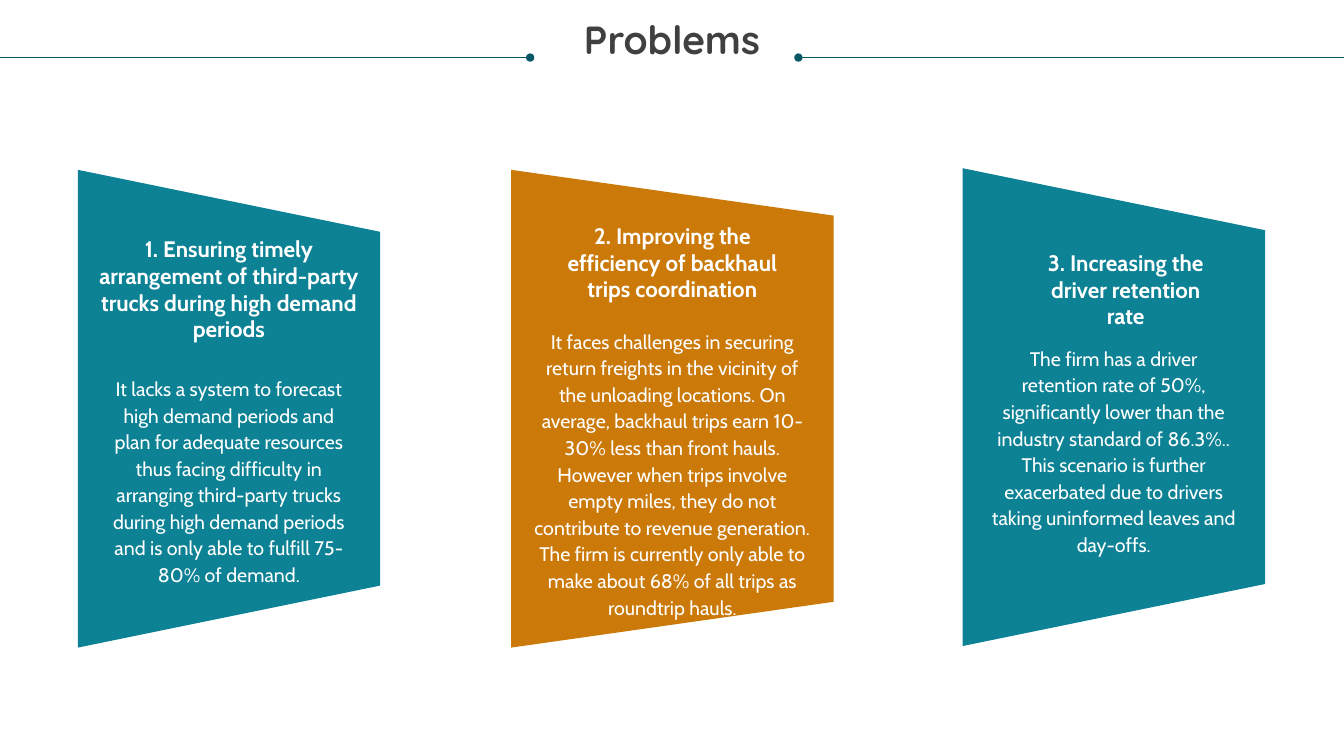
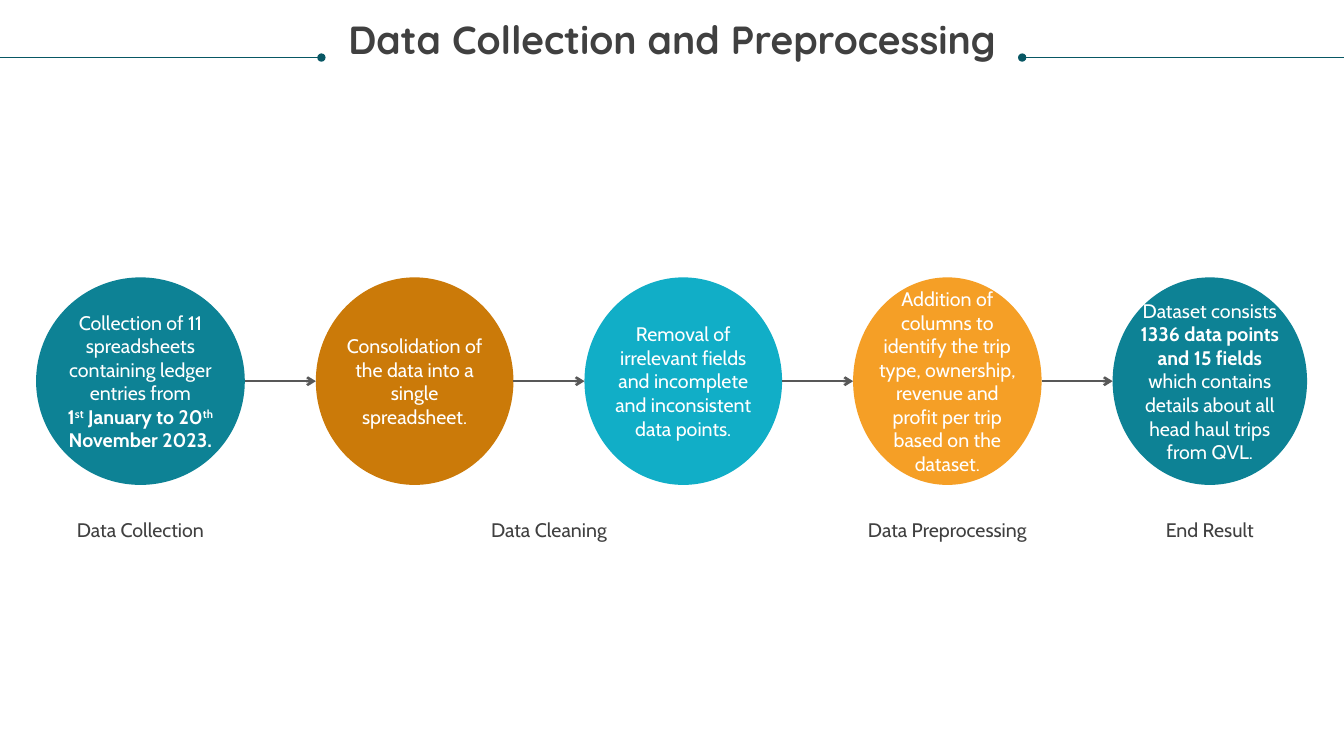
import pptx
import pptx.util
import pptx.dml.color
import pptx.enum.shapes
import pptx.enum.text
import pptx.oxml.ns
from lxml import etree

Cm = pptx.util.Cm
Pt = pptx.util.Pt
KIND = pptx.enum.shapes.MSO_SHAPE
ANCHOR = pptx.enum.text.MSO_ANCHOR
qn = pptx.oxml.ns.qn

WIDE, HIGH = 33.87, 19.05
COLORS = {
    "teal": "0D8295",
    "brown": "CB7A09",
    "cyan": "11AEC7",
    "orange": "F59F26",
    "rule": "085764",
    "arrow": "585858",
    "dark": "404040",
    "white": "FFFFFF",
}
TITLE_FONT, TEXT_FONT = "Quicksand", "Cabin"

PANELS = [
    {
        "box": (1.96, 4.28, 7.62, 12.04), "color": "teal", "slant": 0.205,
        "head": (1.64, 6.71, 0), "body": (5.14, 6.25, 0),
        "title": "1. Ensuring timely arrangement of third-party trucks during "
                 "high demand periods",
        "text": "It lacks a system to forecast high demand periods and plan for "
                "adequate resources thus facing difficulty in arranging "
                "third-party trucks during high demand periods and is only able "
                "to fulfill 75-80% of demand.",
    },
    {
        "box": (12.88, 4.28, 8.13, 12.04), "color": "brown", "slant": 0.142,
        "head": (1.31, 5.36, 0), "body": (3.95, 7.16, 0),
        "title": "2. Improving the efficiency of backhaul trips coordination",
        "text": "It faces challenges in securing return freights in the vicinity "
                "of the unloading locations. On average, backhaul trips earn "
                "10-30% less than front hauls. However when trips involve empty "
                "miles, they do not contribute to revenue generation. The firm "
                "is currently only able to make about 68% of all trips as "
                "roundtrip hauls.",
    },
    {
        "box": (24.26, 4.24, 7.62, 12.04), "color": "teal", "slant": 0.205,
        "head": (2.03, 4.75, 0.3), "body": (4.42, 6.25, 0),
        "title": "3. Increasing the driver retention rate",
        "text": "The firm has a driver retention rate of 50%, significantly lower "
                "than the industry standard of 86.3%.. This scenario is further "
                "exacerbated due to drivers taking uninformed leaves and "
                "day-offs.",
    },
]

STEPS = [
    (5.26, "teal", 4.19, [
        "Collection of 11 spreadsheets",
        "containing ledger entries from",
        [("1", "bold"), ("st", "raised"), (" January to 20", "bold"),
         ("th", "raised"), (" November 2023.", "bold")],
    ]),
    (4.98, "brown", 3.81, ["Consolidation of the data into a single spreadsheet."]),
    (4.98, "cyan", 3.81, ["Removal of irrelevant fields and incomplete and "
                          "inconsistent data points."]),
    (4.75, "orange", 3.81, ["Addition of columns to identify the trip type, "
                            "ownership, revenue and profit per trip based on the "
                            "dataset."]),
    (4.9, "teal", 3.81, [[("Dataset consists ", "plain"),
                          ("1336 data points and 15 fields ", "bold"),
                          ("which contains details about all head haul trips "
                           "from QVL.", "plain")]]),
]
STAGES = [
    ("Data Collection", 0, 0),
    ("Data Cleaning", 1, 2),
    ("Data Preprocessing", 3, 3),
    ("End Result", 4, 4),
]


def tint(name):
    return pptx.dml.color.RGBColor.from_string(COLORS[name])


def style(part, size, color, font=TEXT_FONT, bold=False, space=None):
    part.alignment = pptx.enum.text.PP_ALIGN.CENTER
    if space:
        part.line_spacing = space
    for run in part.runs:
        run.font.name = font
        run.font.size = Pt(size)
        run.font.bold = bold
        run.font.color.rgb = tint(color)


def set_frame(frame, anchor):
    frame.word_wrap = True
    frame.auto_size = pptx.enum.text.MSO_AUTO_SIZE.NONE
    frame.vertical_anchor = anchor
    frame.margin_left = frame.margin_right = 0
    frame.margin_top = frame.margin_bottom = 0


def add_text(slide, box, parts, size, color, anchor=ANCHOR.TOP, **looks):
    frame = slide.shapes.add_textbox(*map(Cm, box)).text_frame
    set_frame(frame, anchor)
    for index, part in enumerate(parts):
        para = frame.add_paragraph() if index else frame.paragraphs[0]
        if isinstance(part, str):
            para.text = part
            style(para, size, color, **looks)
            continue
        for text, _ in part:
            para.add_run().text = text
        style(para, size, color, **looks)
        for run, (_, mode) in zip(para.runs, part):
            run.font.bold = mode != "plain"
            if mode == "raised":
                run._r.get_or_add_rPr().set("baseline", "30000")


def add_shape(slide, kind, box, color):
    shape = slide.shapes.add_shape(kind, *map(Cm, box))
    shape.shadow.inherit = False
    shape.fill.solid()
    shape.fill.fore_color.rgb = tint(color)
    shape.line.fill.background()
    return shape


def add_line(slide, start, end, y, color, width, tip):
    line = slide.shapes.add_connector(
        pptx.enum.shapes.MSO_CONNECTOR.STRAIGHT, Cm(start), Cm(y), Cm(end), Cm(y))
    line.line.color.rgb = tint(color)
    line.line.width = Pt(width)
    props = line.element.spPr
    etree.SubElement(props.find(qn("a:ln")), qn("a:tailEnd"), type=tip)
    etree.SubElement(props, qn("a:effectLst"))


def add_slide(deck, text, left, right):
    slide = deck.slides.add_slide(deck.slide_layouts[5])
    title = slide.shapes.title
    title.left, title.top = Cm(0.64), Cm(0.53)
    title.width, title.height = Cm(32.59), Cm(2.16)
    frame = title.text_frame
    set_frame(frame, ANCHOR.TOP)
    frame.text = text
    style(frame.paragraphs[0], 28, "dark", TITLE_FONT, True, 0.9)
    for edge, stop in ((0, left), (WIDE, right)):
        add_line(slide, edge, stop, 1.45, "rule", 0.5, "oval")
    return slide


def add_panel(slide, panel):
    left, top, width, height = panel["box"]
    turned = (left + (width - height) / 2, top + (height - width) / 2, height, width)
    shape = add_shape(slide, KIND.TRAPEZOID, turned, panel["color"])
    shape.rotation = 90
    shape.adjustments[0] = panel["slant"]

    def place(drop, span, shift, tall):
        return left + (width - span) / 2 + shift, top + drop, span, tall

    add_text(slide, place(*panel["head"], 2.74), [panel["title"]], 16, "white",
             bold=True)
    add_text(slide, place(*panel["body"], 5.36), [panel["text"]], 14, "white",
             space=Pt(19))


def add_flow(slide, left, top, height, gap):
    spans = []
    for index, (width, color, span, parts) in enumerate(STEPS):
        add_shape(slide, KIND.OVAL, (left, top, width, height), color)
        add_text(slide, (left + (width - span) / 2, top, span, height), parts, 14,
                 "white", ANCHOR.MIDDLE)
        if index:
            add_line(slide, left - gap, left, top + height / 2, "arrow", 1.75,
                     "arrow")
        spans.append((left, left + width))
        left += width + gap
    for label, first, last in STAGES:
        start, end = spans[first][0], spans[last][1]
        add_text(slide, (start, top + height + 0.78, end - start, 0.61), [label], 14,
                 "dark", ANCHOR.MIDDLE, space=Pt(19))


def main():
    deck = pptx.Presentation()
    deck.slide_width, deck.slide_height = Cm(WIDE), Cm(HIGH)
    slide = add_slide(deck, "Problems", 13.36, 20.12)
    for panel in PANELS:
        add_panel(slide, panel)
    slide = add_slide(deck, "Data Collection and Preprocessing", 8.1, 25.76)
    add_flow(slide, 0.91, 6.99, 5.23, 1.79)
    deck.save("out.pptx")


if __name__ == "__main__":
    main()
